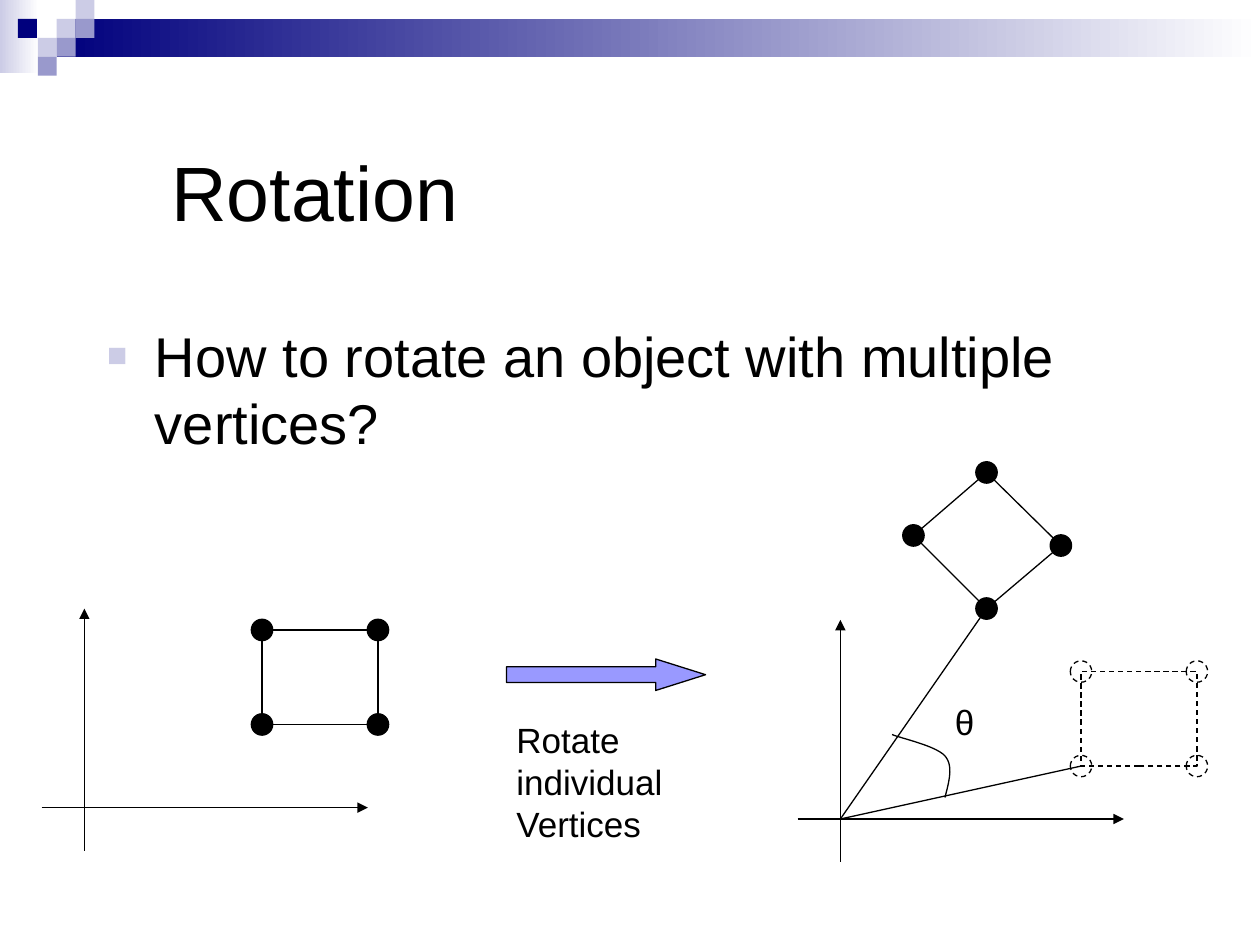
import pptx
import pptx.util
import pptx.dml.color
import pptx.enum.dml
import pptx.enum.shapes
import pptx.enum.text
import pptx.oxml
import pptx.oxml.ns

Inches = pptx.util.Inches
Pt = pptx.util.Pt
RGBColor = pptx.dml.color.RGBColor
SHAPE = pptx.enum.shapes.MSO_SHAPE
DASH = pptx.enum.dml.MSO_LINE.DASH
qn = pptx.oxml.ns.qn

BLACK = RGBColor(0x00, 0x00, 0x00)
WHITE = RGBColor(0xFF, 0xFF, 0xFF)
NAVY = RGBColor(0x00, 0x00, 0x7D)
MID = RGBColor(0x99, 0x99, 0xCC)
PALE = RGBColor(0xCC, 0xCC, 0xE6)
ARROW_FILL = RGBColor(0x99, 0x99, 0xFF)
FONT = "Arial"
DOT = 0.17


def sub(parent, tag, **attrs):
    el = pptx.oxml.parse_xml(
        '<%s xmlns:a="http://schemas.openxmlformats.org/drawingml/2006/main"/>' % tag)
    for name, value in attrs.items():
        el.set(name, value)
    parent.append(el)
    return el


def style_font(p, size):
    for r in p.runs:
        r.font.size = Pt(size)
        r.font.name = FONT
        r.font.color.rgb = BLACK


def style_line(line, dash=None):
    line.color.rgb = BLACK
    line.width = Pt(0.75)
    if dash:
        line.dash_style = dash


def add_shape(s, kind, x, y, w, h, fill=None, outlined=True, dash=None):
    sp = s.shapes.add_shape(kind, Inches(x), Inches(y), Inches(w), Inches(h))
    sp.shadow.inherit = False
    if fill is None:
        sp.fill.background()
    else:
        sp.fill.solid()
        sp.fill.fore_color.rgb = fill
    if outlined:
        style_line(sp.line, dash)
    else:
        sp.line.fill.background()
    return sp


def add_line(s, start, end, arrow=False):
    cn = s.shapes.add_connector(
        pptx.enum.shapes.MSO_CONNECTOR.STRAIGHT, *map(Inches, start + end))
    style_line(cn.line)
    if arrow:
        sub(cn.line._get_or_add_ln(), "a:tailEnd", type="triangle")
    sub(cn._element.spPr, "a:effectLst")


def add_text(s, x, y, w, h, lines, wrap=True):
    sp = s.shapes.add_textbox(Inches(x), Inches(y), Inches(w), Inches(h))
    tf = sp.text_frame
    tf.word_wrap = wrap
    tf.text = "\n".join(lines)
    for p in tf.paragraphs:
        style_font(p, 20)
    return tf


def add_dots(s, centers, fill=BLACK, dash=None):
    for x, y in centers:
        add_shape(s, SHAPE.OVAL, x - DOT / 2, y - DOT / 2, DOT, DOT, fill, dash=dash)


def gradient_bar(s, x, y, w, h, color):
    sp = add_shape(s, SHAPE.RECTANGLE, x, y, w, h, color, outlined=False)
    sp.fill.gradient()
    sp.fill.gradient_angle = 0
    for stop, rgb, pos in zip(sp.fill.gradient_stops, (color, WHITE), (0, 1)):
        stop.color.rgb = rgb
        stop.position = pos


def header_band(s, x, y, w):
    gradient_bar(s, x, y, 0.31, 0.58, PALE)
    gradient_bar(s, x + 0.45, y + 0.15, w - 0.45, 0.3, NAVY)
    tile = 0.15
    tiles = [(3, 1, PALE), (4, 0, PALE), (4, 1, MID), (2, 2, PALE),
             (0.95, 1, NAVY), (3, 2, MID), (2, 3, MID)]
    for col, row, color in tiles:
        add_shape(s, SHAPE.RECTANGLE, x + col * tile, y + row * tile,
                  tile, tile, color, outlined=False)


def place(sp, x, y, w, h):
    sp.left, sp.top, sp.width, sp.height = map(Inches, (x, y, w, h))


def title(s, x, y, w, h):
    sp = s.shapes.title
    place(sp, x, y, w, h)
    tf = sp.text_frame
    tf.text = "Rotation"
    tf.vertical_anchor = pptx.enum.text.MSO_ANCHOR.BOTTOM
    p = tf.paragraphs[0]
    p.alignment = pptx.enum.text.PP_ALIGN.LEFT
    style_font(p, 44)


def question(s, x, y, w, h):
    sp = s.placeholders[1]
    place(sp, x, y, w, h)
    sp.text_frame.text = "How to rotate an object with multiple vertices?"
    p = sp.text_frame.paragraphs[0]
    pPr = p._p.get_or_add_pPr()
    pPr.set("marL", str(Inches(0.38)))
    pPr.set("indent", str(Inches(-0.38)))
    sub(sub(pPr, "a:buClr"), "a:srgbClr", val=str(PALE))
    sub(pPr, "a:buSzPct", val="60000")
    sub(pPr, "a:buFont", typeface=FONT)
    sub(pPr, "a:buChar", char="■")
    p.space_before = Pt(0)
    style_font(p, 32)


def axes(s, x, y):
    add_line(s, (x, y + 1.58), (x + 2.59, y + 1.58), arrow=True)
    add_line(s, (x + 0.34, y + 1.92), (x + 0.34, y), arrow=True)


def square(s, x, y, w, h, fill=BLACK, dash=None):
    add_shape(s, SHAPE.RECTANGLE, x, y, w, h, dash=dash)
    add_dots(s, [(cx, cy) for cy in (y + h, y) for cx in (x, x + w)], fill, dash)


def before_plot(s, x, y):
    axes(s, x, y)
    square(s, x + 1.75, y + 0.17, 0.92, 0.75)


def rotate_step(s, x, y):
    sp = add_shape(s, SHAPE.RIGHT_ARROW, x + 0.02, y, 1.58, 0.25, ARROW_FILL)
    sp.adjustments[0] = 0.5
    sp.adjustments[1] = 1.583
    tf = add_text(s, x, y + 0.42, 2.25, 0.77, ["Rotate individual", "Vertices"])
    tf.margin_right = Inches(0.5)


def bezier(a, b, c, d, steps=16):
    for i in range(1, steps + 1):
        t = i / steps
        u = 1 - t
        yield tuple(u**3 * k + 3 * u * u * t * l + 3 * u * t * t * m + t**3 * n
                    for k, l, m, n in zip(a, b, c, d))


def angle_arc(s, x, y):
    start, mid, end = (x + 0.42, y + 0.5), (x + 0.42, y + 0.17), (x, y)
    points = [*bezier(start, (x + 0.45, y + 0.38), (x + 0.49, y + 0.25), mid),
              *bezier(mid, (x + 0.35, y + 0.09), (x + 0.07, y + 0.03), end)]
    fb = s.shapes.build_freeform(*map(Inches, start))
    fb.add_line_segments([tuple(map(Inches, pt)) for pt in points], close=False)
    sp = fb.convert_to_shape()
    sp.shadow.inherit = False
    sp.fill.background()
    style_line(sp.line)


def after_plot(s, x, y):
    axes(s, x, y)
    square(s, x + 2.25, y + 0.41, 0.92, 0.75, fill=None, dash=DASH)
    corners = [(x + 0.92, y - 0.67), (x + 1.5, y - 0.09),
               (x + 2.09, y - 0.59), (x + 1.5, y - 1.17)]
    for start, end in zip(corners, corners[1:] + corners[:1]):
        add_line(s, start, end)
    add_dots(s, corners)
    origin = (x + 0.34, y + 1.58)
    for end in ((x + 2.25, y + 1.16), corners[1]):
        add_line(s, origin, end)
    angle_arc(s, x + 0.75, y + 0.91)
    add_text(s, x + 1.15, y + 0.59, 0.35, 0.43, ["θ"], wrap=False)


def main():
    prs = pptx.Presentation()
    prs.slide_width = Inches(10)
    prs.slide_height = Inches(7.5)
    s = prs.slides.add_slide(prs.slide_layouts[1])
    header_band(s, 0, 0, 10)
    title(s, 1.26, 0.68, 8.52, 1.25)
    question(s, 0.75, 2.5, 8.5, 4.5)
    before_plot(s, 0.33, 4.83)
    rotate_step(s, 4, 5.23)
    after_plot(s, 6.33, 4.92)
    prs.save("out.pptx")


if __name__ == "__main__":
    main()
